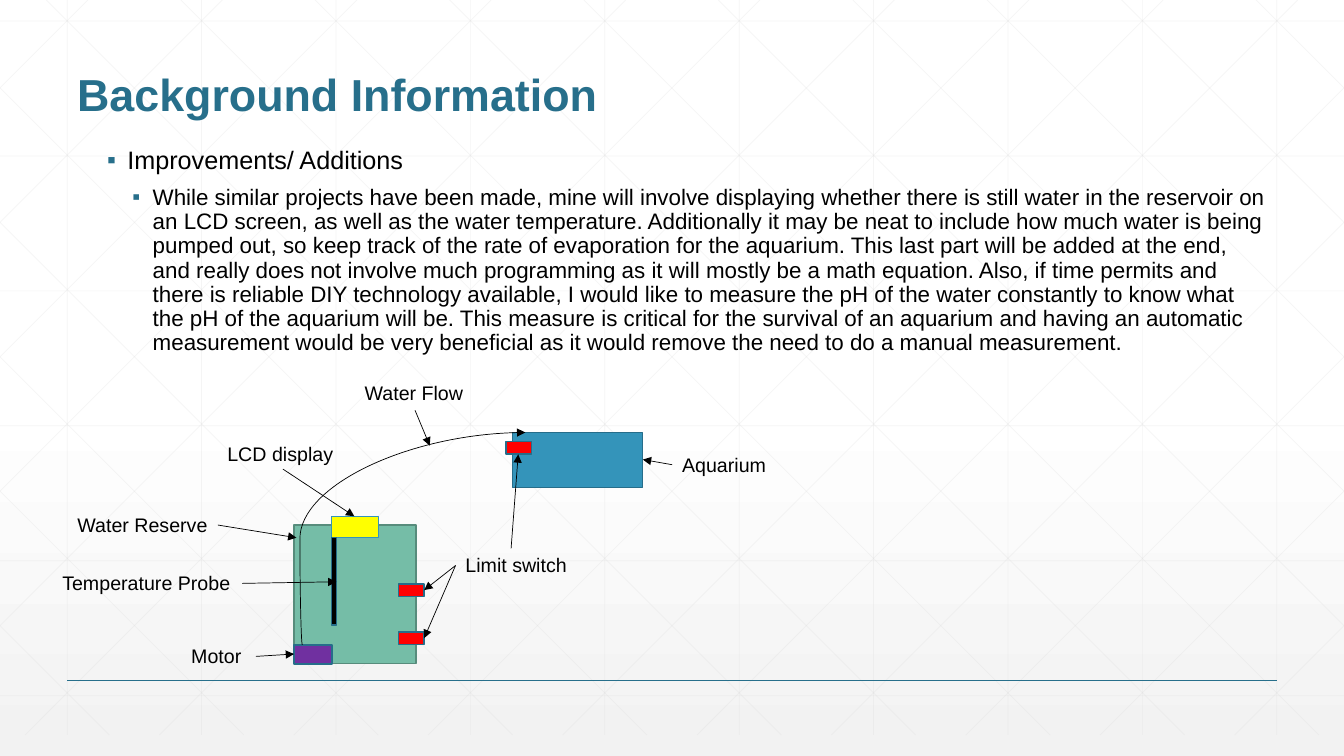
from lxml import etree
from pptx import Presentation
from pptx import util as u
from pptx.dml.color import RGBColor
from pptx.enum import shapes, text
from pptx.oxml.ns import qn

WIDTH, HEIGHT = 33.87, 19.05
GRID_BOTTOM = 18.52
FONT = "Arial"
TEAL = RGBColor(0x27, 0x6F, 0x8B)
EDGE = RGBColor(0x26, 0x6D, 0x8A)
BLUE = RGBColor(0x34, 0x94, 0xBA)
GREEN = RGBColor(0x75, 0xBD, 0xA7)
GREEN_EDGE = RGBColor(0x57, 0x8C, 0x7C)
YELLOW = RGBColor(0xFF, 0xFF, 0x00)
RED = RGBColor(0xFF, 0x00, 0x00)
PURPLE = RGBColor(0x70, 0x30, 0xA0)
BLACK = RGBColor(0x00, 0x00, 0x00)
WHITE = RGBColor(0xFF, 0xFF, 0xFF)
PALE = RGBColor(0xF2, 0xF2, 0xF2)
GRID = RGBColor(0xD9, 0xD9, 0xD9)

HEADING = "Improvements/ Additions"
DETAIL = (
    "While similar projects have been made, mine will involve displaying whether there is "
    "still water in the reservoir on an LCD screen, as well as the water temperature. "
    "Additionally it may be neat to include how much water is being pumped out, so keep track "
    "of the rate of evaporation for the aquarium. This last part will be added at the end, and "
    "really does not involve much programming as it will mostly be a math equation. Also, if "
    "time permits and there is reliable DIY technology available, I would like to measure the "
    "pH of the water constantly to know what the pH of the aquarium will be. This measure is "
    "critical for the survival of an aquarium and having an automatic measurement would be very "
    "beneficial as it would remove the need to do a manual measurement."
)

SWITCH = (0.64, 0.31)
PARTS = [  # left, top, width, height, fill, edge
    (7.41, 13.23, 3.08, 3.49, GREEN, GREEN_EDGE),
    (12.91, 10.9, 3.28, 1.38, BLUE, EDGE),
    (8.36, 13.01, 1.18, 0.53, YELLOW, BLUE),
    (10.05, 14.72, *SWITCH, RED, EDGE),
    (10.05, 15.93, *SWITCH, RED, EDGE),
    (12.75, 11.13, *SWITCH, RED, EDGE),
    (7.41, 16.25, 0.96, 0.48, PURPLE, EDGE),
    (8.36, 13.55, 0.12, 2.2, BLACK, EDGE),
]
LABELS = [  # wording, left, top, width, arrows as (x1, y1, x2, y2)
    ("Limit switch", 11.48, 13.82, 3.07, [(12.88, 13.82, 13.06, 11.45),
                                          (11.48, 14.25, 10.69, 14.87),
                                          (11.48, 14.25, 10.69, 16.08)]),
    ("LCD display", 5.48, 11, 3.76, [(7.13, 11.82, 8.93, 13.01)]),
    ("Temperature Probe", 1.32, 14.27, 4.8, [(6.1, 14.7, 8.48, 14.66)]),
    ("Motor", 4.57, 16.1, 1.9, [(6.45, 16.54, 7.41, 16.48)]),
    ("Water Reserve", 1.7, 12.8, 3.85, [(5.49, 13.23, 7.47, 13.55)]),
    ("Aquarium", 16.94, 11.3, 3.07, [(16.94, 11.71, 16.2, 11.58)]),
    ("Water Flow", 8.94, 9.47, 3.07, [(10.46, 10.34, 10.83, 11.23)]),
]


def set_all(obj, values):
    for name, value in values.items():
        setattr(obj, name, value)


def add_run(p, words, size, color, bold=False):
    r = p.add_run()
    r.text = words
    set_all(r.font, {"name": FONT, "size": u.Pt(size), "bold": bold})
    r.font.color.rgb = color


def add_line(slide, ends, color, width, kind=shapes.MSO_CONNECTOR.STRAIGHT):
    line = slide.shapes.add_connector(kind, *map(u.Cm, ends))
    line.line.color.rgb = color
    line.line.width = u.Pt(width)
    etree.SubElement(line._element.spPr, qn("a:effectLst"))
    return line


def add_arrow(slide, ends, kind=shapes.MSO_CONNECTOR.STRAIGHT):
    arrow = add_line(slide, ends, BLACK, 0.5, kind)
    etree.SubElement(arrow.line._get_or_add_ln(), qn("a:tailEnd"), type="triangle")
    return arrow


def add_grid_line(slide, *ends):
    line = add_line(slide, ends, GRID, 0.5)
    for clr in line._element.iter(qn("a:srgbClr")):
        etree.SubElement(clr, qn("a:alpha"), val="25000")


def add_backdrop(slide):
    """Gradient and faint lattice: verticals, horizontals and mirrored diagonals."""
    fill = slide.background.fill
    fill.gradient()
    fill.gradient_angle = 270
    for stop, position, color in zip(fill.gradient_stops, (0.53, 1), (WHITE, PALE)):
        stop.position = position
        stop.color.rgb = color

    step = WIDTH / 10
    for i in range(10):
        x = step * (i + 0.5)
        add_grid_line(slide, x, 0, x, GRID_BOTTOM)
    for i in range(6):
        y = 0.53 + 3.4 * i
        add_grid_line(slide, 0, y, WIDTH, y)
    for i in range(-5, 10):
        start = 1.17 + step * i
        x1, x2 = max(start, 0), min(start + GRID_BOTTOM, WIDTH)
        y1, y2 = x1 - start, x2 - start
        add_grid_line(slide, x1, y1, x2, y2)
        add_grid_line(slide, WIDTH - x1, y1, WIDTH - x2, y2)


def add_title(slide, words):
    title = slide.shapes.title
    set_all(title, {"left": u.Cm(1.69), "top": u.Cm(0.64),
                    "width": u.Cm(30.48), "height": u.Cm(2.54)})
    tf = title.text_frame
    set_all(tf, {"vertical_anchor": text.MSO_ANCHOR.BOTTOM, "word_wrap": True,
                 "auto_size": text.MSO_AUTO_SIZE.NONE})
    p = tf.paragraphs[0]
    set_all(p, {"alignment": text.PP_ALIGN.LEFT, "line_spacing": 0.9})
    add_run(p, words, 32, TEAL, bold=True)
    title.element.getparent().append(title.element)  # in front of the lattice


def add_text_box(slide, left, top, width, height):
    tf = slide.shapes.add_textbox(*map(u.Cm, (left, top, width, height))).text_frame
    tf.word_wrap = True
    return tf


def add_bullet(p, words, size, level, indent, space):
    set_all(p, {"level": level, "line_spacing": 0.9, "space_before": u.Pt(space)})
    pPr = p._p.get_or_add_pPr()
    pPr.set("marL", str(u.Cm(indent)))
    pPr.set("indent", str(u.Cm(-0.51)))
    clr = etree.SubElement(pPr, qn("a:buClr"))
    etree.SubElement(clr, qn("a:srgbClr"), val=str(TEAL))
    etree.SubElement(pPr, qn("a:buFont"), typeface=FONT)
    etree.SubElement(pPr, qn("a:buChar"), char="▪")
    add_run(p, words, size, BLACK)


def add_part(slide, left, top, width, height, fill, edge):
    sp = slide.shapes.add_shape(shapes.MSO_SHAPE.RECTANGLE,
                                *map(u.Cm, (left, top, width, height)))
    sp.shadow.inherit = False
    sp.fill.solid()
    sp.fill.fore_color.rgb = fill
    sp.line.color.rgb = edge
    sp.line.width = u.Pt(1)


def add_water_flow(slide):
    curve = add_arrow(slide, (7.62, 16.25, 13.24, 10.9), shapes.MSO_CONNECTOR.CURVE)
    guides = curve._element.spPr.find(qn("a:prstGeom")).get_or_add_avLst()
    etree.SubElement(guides, qn("a:gd"), name="adj1", fmla="val -1100")


def main():
    prs = Presentation()
    set_all(prs, {"slide_width": u.Cm(WIDTH), "slide_height": u.Cm(HEIGHT)})
    slide = prs.slides.add_slide(prs.slide_layouts.get_by_name("Title Only"))
    add_backdrop(slide)
    add_line(slide, (1.69, 17.15, 32.18, 17.15), TEAL, 1)
    add_title(slide, "Background Information")

    tf = add_text_box(slide, 1.69, 3.6, 30.48, 13.13)
    add_bullet(tf.paragraphs[0], HEADING, 18, 1, 1.27, 12)
    add_bullet(tf.add_paragraph(), DETAIL, 16, 2, 1.91, 8)

    for part in PARTS:
        add_part(slide, *part)
    add_water_flow(slide)
    for words, left, top, width, arrows in LABELS:
        tf = add_text_box(slide, left, top, width, 0.86)
        add_run(tf.paragraphs[0], words, 14, BLACK)
        for ends in arrows:
            add_arrow(slide, ends)
    prs.save("out.pptx")


if __name__ == "__main__":
    main()
